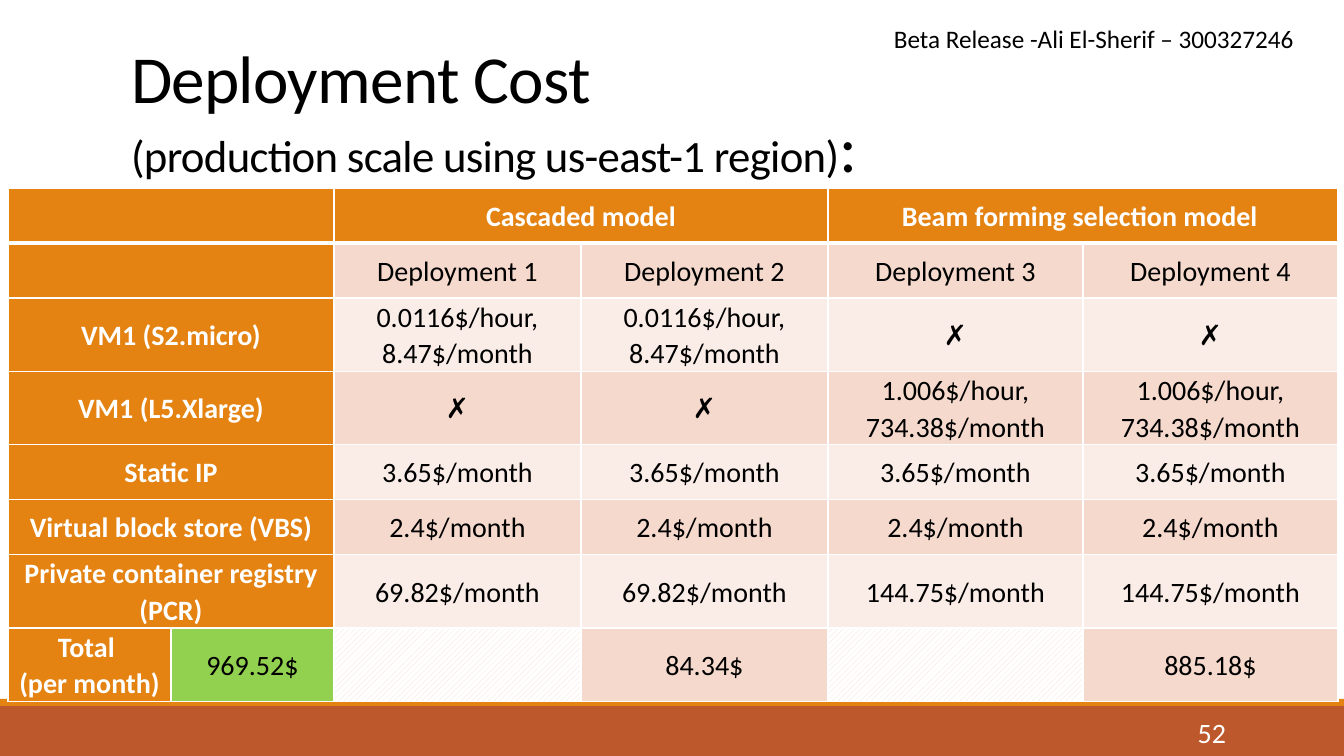
import pptx
import pptx.dml.color
import pptx.enum.dml
import pptx.enum.shapes
import pptx.enum.text
import pptx.oxml
import pptx.oxml.ns
import pptx.util

RGBColor = pptx.dml.color.RGBColor
Align = pptx.enum.text.PP_ALIGN
Anchor = pptx.enum.text.MSO_ANCHOR

BLACK = RGBColor(0x00, 0x00, 0x00)
WHITE = RGBColor(0xFF, 0xFF, 0xFF)
ORANGE = RGBColor(0xE4, 0x83, 0x12)
RUST = RGBColor(0xBD, 0x58, 0x2C)
PINK = RGBColor(0xF5, 0xD9, 0xCC)
PALE = RGBColor(0xFA, 0xED, 0xE7)
GREEN = RGBColor(0x92, 0xD0, 0x50)

WIDTH, HEIGHT = 1344, 756
EMU_PER_PX = 914400 / 100.8
COLUMNS = [163, 163, 247, 247, 255, 255]
ROWS = [55, 55, 67, 67, 55, 55, 67, 67]

MICRO = "0.0116$/hour, 8.47$/month"
XLARGE = "1.006$/hour, 734.38$/month"
COSTS = [
    ("", ["Deployment 1", "Deployment 2", "Deployment 3", "Deployment 4"]),
    ("VM1 (S2.micro)", [MICRO, MICRO, "✗", "✗"]),
    ("VM1 (L5.Xlarge)", ["✗", "✗", XLARGE, XLARGE]),
    ("Static IP", ["3.65$/month"] * 4),
    ("Virtual block store (VBS)", ["2.4$/month"] * 4),
    ("Private container registry (PCR)",
     ["69.82$/month"] * 2 + ["144.75$/month"] * 2),
]
TOTALS = ["", "84.34$", "", "885.18$"]


def px(value):
    return pptx.util.Emu(round(value * EMU_PER_PX))


class SlideBuilder:
    font_name = "Calibri"

    def __init__(self, deck):
        self.page = deck.slides.add_slide(deck.slide_layouts[5])

    def format_text(self, frame, size, color, align=Align.LEFT, bold=False,
                    spacing=None):
        for para in frame.paragraphs:
            para.alignment = align
            para.line_spacing = spacing
            for span in para.runs:
                span.font.name = self.font_name
                span.font.size = pptx.util.Pt(size)
                span.font.bold = bold
                span.font.color.rgb = color

    def title(self, left, top, width, height, parts):
        box = self.page.shapes.title
        box.left, box.top = px(left), px(top)
        box.width, box.height = px(width), px(height)
        frame = box.text_frame
        frame.auto_size = pptx.enum.text.MSO_AUTO_SIZE.NONE
        frame.word_wrap = True
        frame.vertical_anchor = Anchor.BOTTOM
        para = frame.paragraphs[0]
        for index, (text, size) in enumerate(parts):
            if index == 1:
                para.add_line_break()
            para.add_run().text = text
        self.format_text(frame, 48, BLACK, spacing=0.85)
        for span, (text, size) in zip(para.runs, parts):
            span.font.size = pptx.util.Pt(size)
            span.font._element.set("spc", "-50")

    def band(self, top, height, color):
        shape = self.page.shapes.add_shape(
            pptx.enum.shapes.MSO_SHAPE.RECTANGLE,
            0, px(top), px(WIDTH), px(height))
        shape.shadow.inherit = False
        shape.fill.solid()
        shape.fill.fore_color.rgb = color
        shape.line.fill.background()

    def text(self, left, top, width, height, text, size, color,
             align=Align.LEFT, anchor=Anchor.TOP):
        box = self.page.shapes.add_textbox(
            px(left), px(top), px(width), px(height))
        frame = box.text_frame
        frame.word_wrap = True
        frame.vertical_anchor = anchor
        frame.text = text
        self.format_text(frame, size, color, align)

    def table(self, left, top, columns, rows):
        frame = self.page.shapes.add_table(
            len(rows), len(columns), px(left), px(top),
            px(sum(columns)), px(sum(rows)))
        table = frame.table
        for column, width in zip(table.columns, columns):
            column.width = px(width)
        for row, height in zip(table.rows, rows):
            row.height = px(height)
        return table

    def borders(self, cell, bottom):
        properties = cell._tc.get_or_add_tcPr()
        for side, points in (("L", 1), ("R", 1), ("T", 1), ("B", bottom)):
            properties.append(pptx.oxml.parse_xml(
                f'<a:ln{side} {pptx.oxml.ns.nsdecls("a")} '
                f'w="{pptx.util.Pt(points)}"><a:solidFill>'
                f'<a:srgbClr val="{WHITE}"/></a:solidFill></a:ln{side}>'))

    def cell(self, table, row, column, text, fill, span=1):
        cell = table.cell(row, column)
        if span > 1:
            cell.merge(table.cell(row, column + span - 1))
        for offset in range(span):
            part = table.cell(row, column + offset)
            self.borders(part, 3 if row == 0 else 1)
            if fill is None:
                part.fill.patterned()
                part.fill.pattern = (
                    pptx.enum.dml.MSO_PATTERN.WIDE_UPWARD_DIAGONAL)
                part.fill.fore_color.rgb = PINK
                part.fill.back_color.rgb = WHITE
            else:
                part.fill.solid()
                part.fill.fore_color.rgb = fill
        cell.margin_left = cell.margin_right = px(7)
        cell.margin_top = cell.margin_bottom = 0
        cell.vertical_anchor = Anchor.MIDDLE
        if text:
            cell.text_frame.text = text
            heading = fill == ORANGE
            self.format_text(cell.text_frame, 20, WHITE if heading else BLACK,
                             Align.CENTER, heading, 1.07)


def main():
    deck = pptx.Presentation()
    deck.slide_width, deck.slide_height = px(WIDTH), px(HEIGHT)
    slide = SlideBuilder(deck)

    slide.title(121, 31, 1109, 160, [
        ("Deployment Cost ", 48),
        ("(production scale using us-east-1 region)", 32),
        (":", 48),
    ])
    slide.band(706, 50, RUST)
    slide.band(699, 7, ORANGE)

    table = slide.table(8, 188, COLUMNS, ROWS)
    headings = ["", "Cascaded model", "Beam forming selection model "]
    for index, heading in enumerate(headings):
        slide.cell(table, 0, 2 * index, heading, ORANGE, span=2)
    for row, (label, values) in enumerate(COSTS, start=1):
        slide.cell(table, row, 0, label, ORANGE, span=2)
        for column, value in enumerate(values, start=2):
            slide.cell(table, row, column, value, PINK if row % 2 else PALE)
    last = len(ROWS) - 1
    slide.cell(table, last, 0, "Total \n(per month)", ORANGE)
    slide.cell(table, last, 1, "969.52$", GREEN)
    for column, value in enumerate(TOTALS, start=2):
        slide.cell(table, last, column, value, PINK if value else None)

    slide.text(884, 18, 433, 40, "Beta Release -Ali El-Sherif – 300327246",
               18, BLACK)
    slide.text(1092, 712, 144, 40, "52", 20, WHITE, Align.RIGHT, Anchor.MIDDLE)
    deck.save("out.pptx")


if __name__ == "__main__":
    main()
